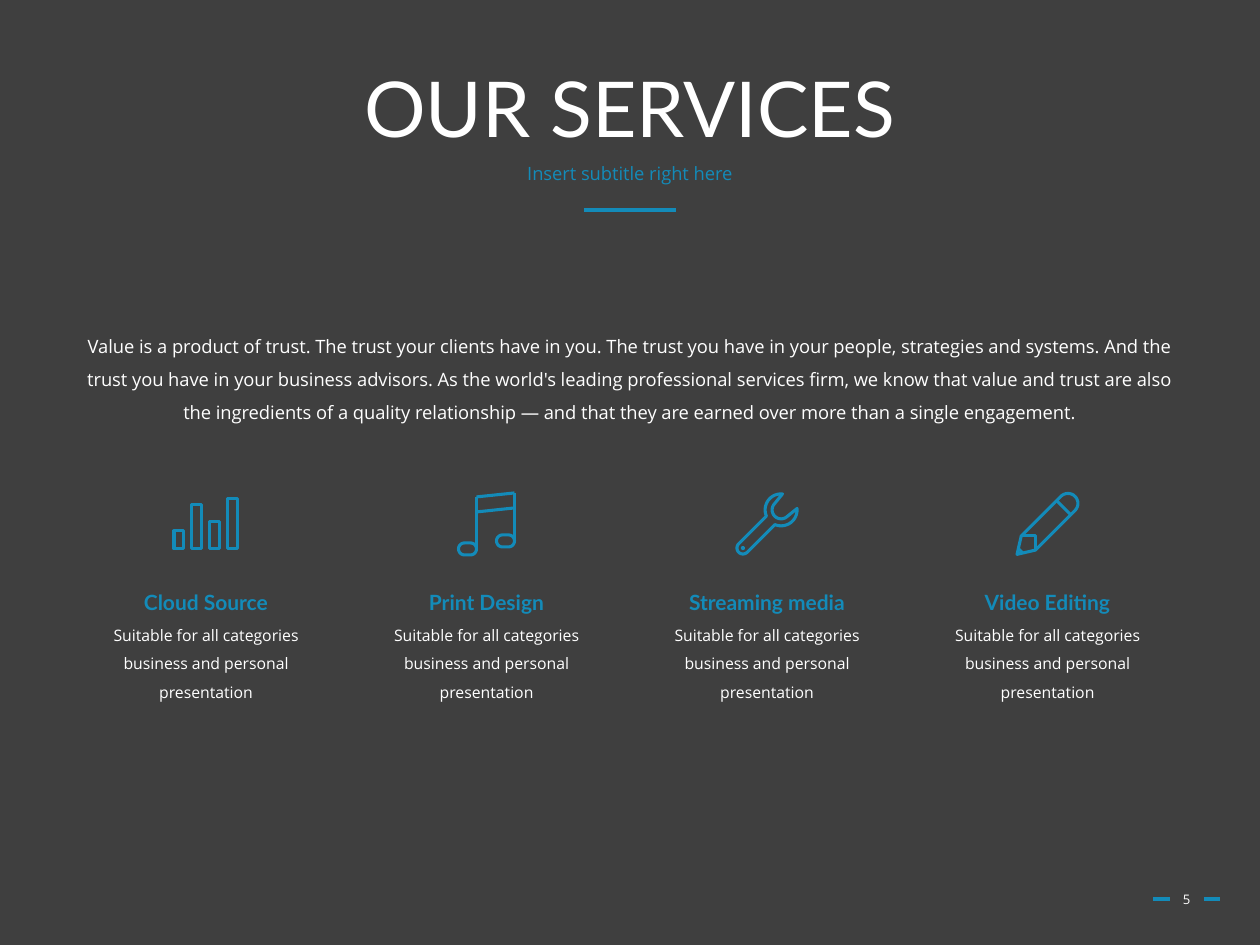
"""Build the services slide with four outlined icons."""
from math import cos, radians, sin, sqrt

from pptx import Presentation
from pptx.dml.color import RGBColor
from pptx.enum.shapes import MSO_CONNECTOR
from pptx.enum.text import MSO_ANCHOR, PP_ALIGN
from pptx.oxml import parse_xml
from pptx.util import Pt

PX = 914400 / 126
MID, TOP = MSO_ANCHOR.MIDDLE, MSO_ANCHOR.TOP
CENTER = PP_ALIGN.CENTER
STRAIGHT = MSO_CONNECTOR.STRAIGHT
DARK = RGBColor(0x3F, 0x3F, 0x3F)
BLUE = RGBColor(0x13, 0x8B, 0xB9)
WHITE = RGBColor(0xFF, 0xFF, 0xFF)
HEAD, BODY = "Lato", "Open Sans"
STROKE = Pt(1.75)

INTRO = (
    "Value is a product of trust. The trust your clients have in you. "
    "The trust you have in your people, strategies and systems. "
    "And the trust you have in your business advisors. "
    "As the world's leading professional services firm, we know that value "
    "and trust are also the ingredients of a quality relationship \u2014 and "
    "that they are earned over more than a single engagement."
)
BLURB = "Suitable for all categories business and personal presentation"
RULES = [(584, 676, 210), (1153, 1170, 899), (1204, 1220, 899)]
FIRST, PITCH, WIDE, ICON_Y = 206, 280.5, 258, 524


def emu(*spans):
    return [round(v * PX) for v in spans]


def arc(x, y, radius, start, end, steps=16):
    angles = [radians(start + (end - start) * i / steps)
              for i in range(steps + 1)]
    return [(x + radius * cos(a), y + radius * sin(a)) for a in angles]


def tilt(paths):
    """Turn paths so that their long axis points up and to the right."""
    return [([((u + v) / sqrt(2), (v - u) / sqrt(2)) for u, v in dots], shut)
            for dots, shut in paths]


def bars():
    heights, left, step, wide, base = [18, 44, 27, 50], -32, 18, 10, 25
    paths = []
    for i, high in enumerate(heights):
        x, y = left + i * step, base - high
        paths.append(([(x, y), (x + wide, y), (x + wide, base), (x, base)],
                      True))
    return paths


def notes():
    stems = [(-10, -27, 25), (28, -31, 17)]
    beam, half, radius = 15, 9, 6
    paths = [([(x, y + drop) for x, y, _ in stems], False)
             for drop in (0, beam)]
    for x, top, low in stems:
        bend = half - radius
        mid = x - half
        oval = (arc(mid + bend, low, radius, -90, 90)
                + arc(mid - bend, low, radius, 90, 270))
        paths += [([(x, top), (x, low)], False), (oval, True)]
    return paths


def wrench():
    head, rim, jaw, mouth = 20, 16, 9, 40
    tail, grip, neck = -34, 6, 158
    outline = (arc(head, 0, rim, mouth, neck)
               + arc(tail, 0, grip, 90, 270)
               + arc(head, 0, rim, 360 - neck, 360 - mouth)
               + arc(head, 0, jaw, 270, 90))
    return tilt([(outline, True), (arc(tail, 0, 0.5, 0, 360), True)])


def pencil():
    tip, lead, base, notch, band, cap = -43, -38, -27, -17, 23, 29
    half, point = 10, 3
    outline = [(tip, 0), (base, -half)] + arc(cap, 0, half, -90, 90)
    outline.append((base, half))
    return tilt([
        (outline, True),
        ([(base, -half), (notch, 0), (base, half)], False),
        ([(band, -half), (band, half)], False),
        ([(lead, -point), (lead, point)], False),
    ])


SERVICES = [("Cloud Source", 151, bars), ("Print Design", 142, notes),
            ("Streaming media", 184, wrench), ("Video Editing", 151, pencil)]


def icon(paths, x, y):
    pen = None
    for dots, shut in paths:
        spots = [tuple(emu(x + dx, y + dy)) for dx, dy in dots]
        if pen is None:
            pen = shapes.build_freeform(*spots[0])
        else:
            pen.move_to(*spots[0])
        pen.add_line_segments(spots[1:], close=shut)
    shape = pen.convert_to_shape()
    shape.shadow.inherit = False
    shape.fill.background()
    shape.line.color.rgb = BLUE
    shape.line.width = STROKE


def text(words, x, y, w, h, size, font=BODY, color=WHITE, bold=False,
         wrap=True, anchor=TOP, space=1.0, before=0):
    frame = shapes.add_textbox(*emu(x, y, w, h)).text_frame
    frame.word_wrap = wrap
    frame.vertical_anchor = anchor
    para = frame.paragraphs[0]
    para.alignment = CENTER
    para.line_spacing = space
    para.space_before = Pt(before)
    run = para.add_run()
    run.text = words
    run.font.name, run.font.size = font, Pt(size)
    run.font.bold, run.font.color.rgb = bold, color


deck = Presentation()
deck.slide_width, deck.slide_height = emu(1260, 945)
slide = deck.slides.add_slide(deck.slide_layouts[6])
slide.background.fill.solid()
slide.background.fill.fore_color.rgb = DARK
shapes = slide.shapes

for x, end, y in RULES:
    rule = shapes.add_connector(STRAIGHT, *emu(x, y, end, y))
    rule.line.color.rgb = BLUE
    rule.line.width = STROKE
    rule._element.spPr.append(parse_xml(
        '<a:effectLst xmlns:a='
        '"http://schemas.openxmlformats.org/drawingml/2006/main"/>'))

text("OUR SERVICES", 87, 51, 1086, 123, 44, font=HEAD, anchor=MID, space=0.9)
text("5", 1159, 874, 55, 50, 7.5, anchor=MID)
text("Insert subtitle right here", 87, 158, 1086, 50, 10.5, color=BLUE,
     space=0.9, before=10)
text(INTRO, 66, 318, 1128, 131, 10.5, space=1.5)

for i, (name, w, draw) in enumerate(SERVICES):
    mid = FIRST + i * PITCH
    text(name, mid - w / 2, 583, w, 38, 12, font=HEAD, color=BLUE, bold=True,
         wrap=False)
    text(BLURB, mid - WIDE / 2, 610, WIDE, 98, 9, space=1.5)
    icon(draw(), mid, ICON_Y)

deck.save("out.pptx")
